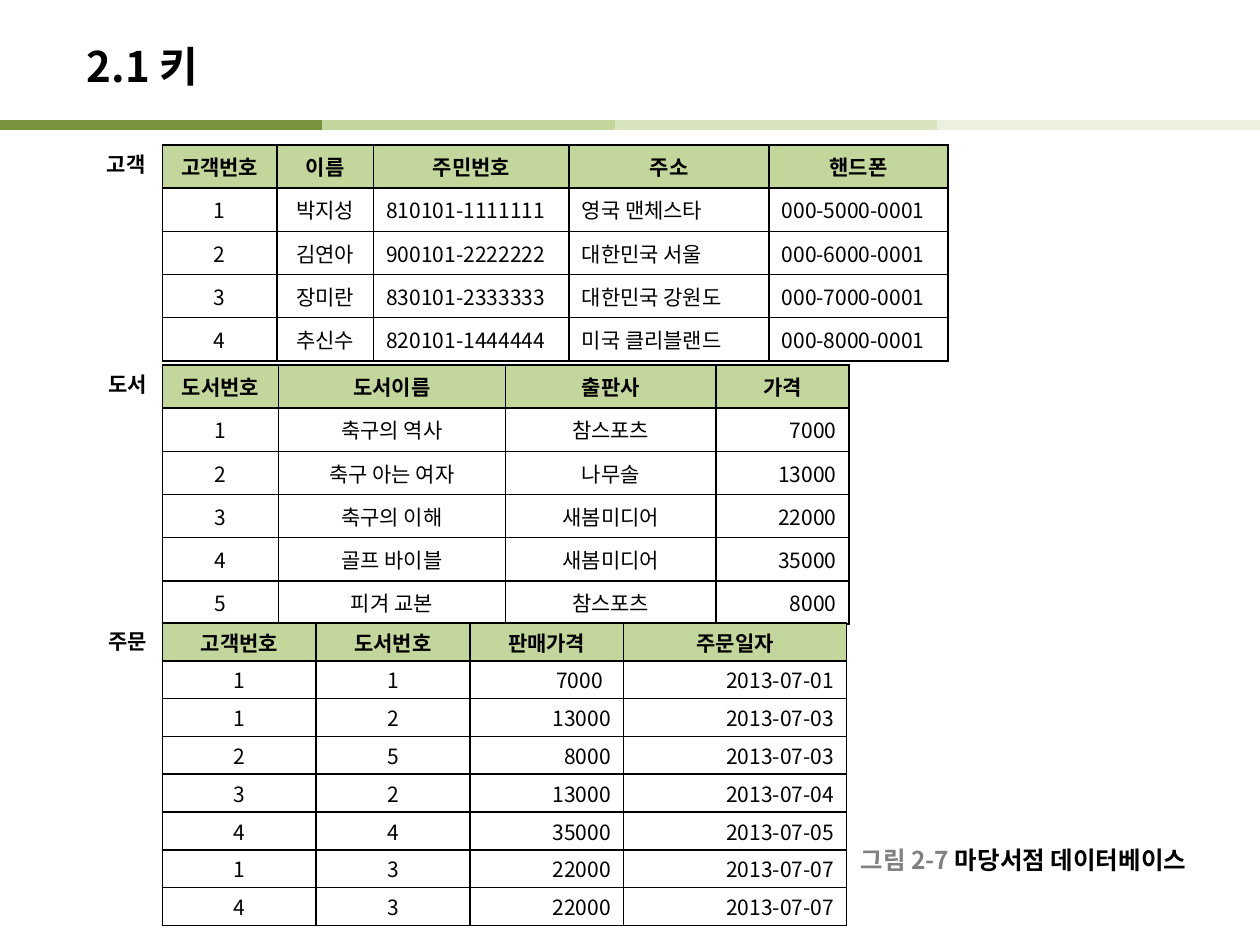
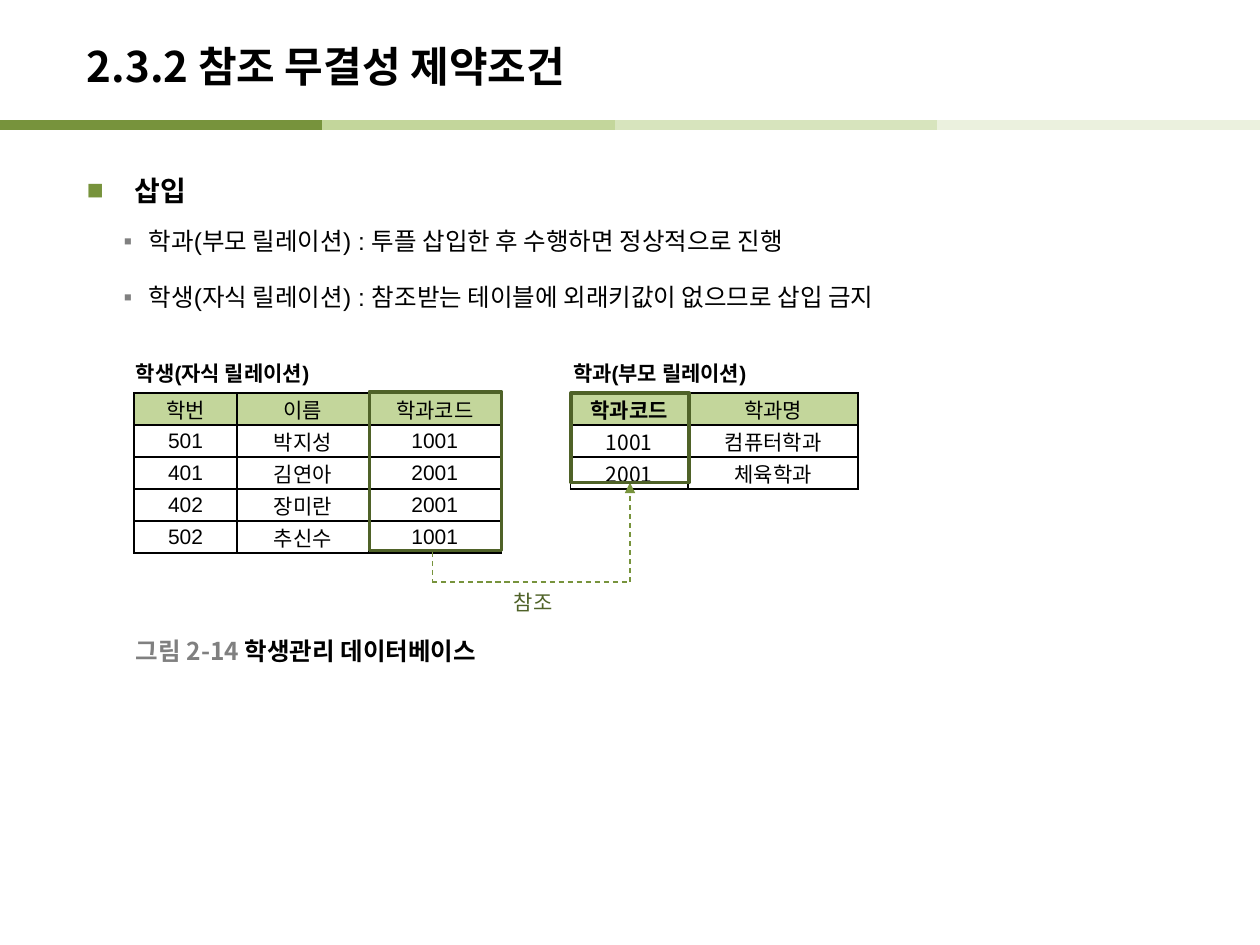
from lxml.etree import SubElement as Sub
from pptx import Presentation
from pptx.dml.color import RGBColor as RGB
from pptx.enum.dml import MSO_LINE
from pptx.enum.shapes import MSO_CONNECTOR, MSO_SHAPE
from pptx.enum.text import MSO_ANCHOR as Anchor, MSO_AUTO_SIZE as Auto, PP_ALIGN as Align
from pptx.oxml.ns import qn
from pptx.util import Pt

BLACK = RGB(0x00, 0x00, 0x00)
GRAY = RGB(0x80, 0x80, 0x80)
GREEN = RGB(0x77, 0x93, 0x3C)
DARK = RGB(0x4F, 0x62, 0x28)
LIGHT = RGB(0xC3, 0xD6, 0x9B)
PALE = RGB(0xD7, 0xE4, 0xBD)
FAINT = RGB(0xEB, 0xF1, 0xDE)
NOTO = "Noto Sans CJK KR"
ARIAL = "Arial"
SIDES = {"l": Align.LEFT, "c": Align.CENTER, "r": Align.RIGHT}


def style(run, size, face=NOTO, bold=False, color=BLACK):
    """Format a run; Korean letters always use the Noto face."""
    font = run.font
    font.size, font.name, font.bold = Pt(size), face, bold
    font.color.rgb = color
    Sub(run.font._element, qn("a:ea"), typeface=NOTO)


def draw(slide, start, end, color, width):
    """Add a straight line without a shadow."""
    line = slide.shapes.add_connector(
        MSO_CONNECTOR.STRAIGHT, *(Pt(v) for v in start + end))
    line.line.color.rgb = color
    line.line.width = Pt(width)
    Sub(line.element.spPr, qn("a:effectLst"))
    return line


prs = Presentation()
prs.slide_width, prs.slide_height = Pt(720), Pt(540)
keys = prs.slides.add_slide(prs.slide_layouts[5])
refs = prs.slides.add_slide(prs.slide_layouts[1])

# Title and colour band
for slide, text in ((keys, "2.1 키"), (refs, "2.3.2 참조 무결성 제약조건")):
    for left, color in ((167, LIGHT), (351.4, PALE), (535.7, FAINT), (0, GREEN)):
        draw(slide, (left, 71.3), (left + 184.3, 71.3), color, 6)
    title = slide.shapes.title
    title.left, title.top, title.width, title.height = Pt(42.5), Pt(15.8), Pt(595.4), Pt(43.2)
    frame = title.text_frame
    frame.text = text
    frame.auto_size = Auto.NONE
    frame.vertical_anchor = Anchor.MIDDLE
    frame.paragraphs[0].alignment = Align.LEFT
    style(frame.paragraphs[0].runs[0], 24, bold=True)

# Bullet list
body = refs.placeholders[1]
body.left, body.top, body.width, body.height = Pt(42.5), Pt(85.7), Pt(635), Pt(430.6)
frame = body.text_frame
frame.auto_size = Auto.NONE
points = (
    (0, "삽입"),
    (1, "학과(부모 릴레이션) : 투플 삽입한 후 수행하면 정상적으로 진행"),
    (1, "학생(자식 릴레이션) : 참조받는 테이블에 외래키값이 없으므로 삽입 금지"),
)
levels = (
    (27.4, -27.4, "■", GREEN, 16, 0, 0),
    (35.3, -14.4, "▪", GRAY, 14, 2.8, 4),
)
for i, (level, text) in enumerate(points):
    left, hang, mark, color, size, before, after = levels[level]
    para = frame.add_paragraph() if i else frame.paragraphs[0]
    para.text = text
    para.level = level
    para.line_spacing = 1.5
    para.space_before, para.space_after = Pt(before), Pt(after)
    props = para._p.get_or_add_pPr()
    props.set("marL", str(Pt(left)))
    props.set("indent", str(Pt(hang)))
    Sub(Sub(props, qn("a:buClr")), qn("a:srgbClr"), val=str(color))
    Sub(props, qn("a:buFont"), typeface=ARIAL)
    Sub(props, qn("a:buChar"), char=mark)
    style(para.runs[0], size, ARIAL, bold=not level)

# Tables: slide, left, top, row height, side and top margins, face,
# bold header columns, column widths, column alignment, rows
tables = (
    (keys, 92.9, 82.8, 24.7, 7.2, 3.6, NOTO, 5, (65.3, 55.4, 111.7, 114.3, 102.2), "cclll", (
        "고객번호|이름|주민번호|주소|핸드폰",
        "1|박지성|810101-1111111|영국 맨체스타|000-5000-0001",
        "2|김연아|900101-2222222|대한민국 서울|000-6000-0001",
        "3|장미란|830101-2333333|대한민국 강원도|000-7000-0001",
        "4|추신수|820101-1444444|미국 클리블랜드|000-8000-0001")),
    (keys, 92.9, 208.5, 24.7, 7.2, 3.6, NOTO, 4, (66.3, 129.6, 120.5, 76), "cccr", (
        "도서번호|도서이름|출판사|가격",
        "1|축구의 역사|참스포츠|7000",
        "2|축구 아는 여자|나무솔|13000",
        "3|축구의 이해|새봄미디어|22000",
        "4|골프 바이블|새봄미디어|35000",
        "5|피겨 교본|참스포츠|8000")),
    (keys, 92.9, 356, 21.6, 7.2, 1.8, NOTO, 4, (87.8, 87.8, 87.8, 127.6), "ccrr", (
        "고객번호|도서번호|판매가격|주문일자",
        "1|1|7000|2013-07-01",
        "1|2|13000|2013-07-03",
        "2|5|8000|2013-07-03",
        "3|2|13000|2013-07-04",
        "4|4|35000|2013-07-05",
        "1|3|22000|2013-07-07",
        "4|3|22000|2013-07-07")),
    (refs, 76.5, 224.6, 18.3, 0.7, 0.4, ARIAL, 0, (59, 75.2, 75.6), "ccc", (
        "학번|이름|학과코드",
        "501|박지성|1001",
        "401|김연아|2001",
        "402|장미란|2001",
        "502|추신수|1001")),
    (refs, 326, 224.6, 18.3, 0.7, 0.4, NOTO, 1, (67.2, 97.2), "cc", (
        "학과코드|학과명",
        "1001|컴퓨터학과",
        "2001|체육학과")),
)
for slide, left, top, high, side, pad, face, heads, widths, aligns, rows in tables:
    grid = slide.shapes.add_table(
        len(rows), len(widths), Pt(left), Pt(top), Pt(sum(widths)), Pt(high * len(rows))).table
    grid.first_row = grid.horz_banding = False
    for col, width in zip(grid.columns, widths):
        col.width = Pt(width)
    for r, row in enumerate(rows):
        grid.rows[r].height = Pt(high)
        for c, text in enumerate(row.split("|")):
            cell = grid.cell(r, c)
            cell.margin_left = cell.margin_right = Pt(side)
            cell.margin_top = cell.margin_bottom = Pt(pad)
            cell.vertical_anchor = Anchor.MIDDLE
            props = cell._tc.get_or_add_tcPr()
            for edge in ("lnL", "lnR", "lnT", "lnB"):
                rule = Sub(props, qn("a:" + edge), w=str(Pt(1)))
                Sub(Sub(rule, qn("a:solidFill")), qn("a:srgbClr"), val=str(BLACK))
            if r == 0:
                cell.fill.solid()
                cell.fill.fore_color.rgb = LIGHT
            else:
                cell.fill.background()
            cell.text = text
            para = cell.text_frame.paragraphs[0]
            para.alignment = SIDES[aligns[c]] if r else Align.CENTER
            style(para.runs[0], 12, face, bold=r == 0 and c < heads)
            if text == "7000" and c == 2:
                cell.margin_right = Pt(11.8)

# Labels and captions: slide, left, top, width, size, face, runs (text, bold, colour)
labels = (
    (keys, 54, 82.8, 39, 12, ARIAL, [("고객", True, BLACK)]),
    (keys, 54.7, 208.8, 39, 12, ARIAL, [("도서", True, BLACK)]),
    (keys, 54.7, 355.7, 39, 12, ARIAL, [("주문", True, BLACK)]),
    (keys, 484.6, 480.2, 215, 14, NOTO,
     [("그림 2-7 ", True, GRAY), ("마당서점 데이터베이스", True, BLACK)]),
    (refs, 70.6, 202.3, 124.6, 12, ARIAL, [("학생(자식 릴레이션)", True, BLACK)]),
    (refs, 320.4, 202.3, 124.6, 12, ARIAL, [("학과(부모 릴레이션)", True, BLACK)]),
    (refs, 286.6, 333.4, 99.4, 12, NOTO, [("참조", False, DARK)]),
    (refs, 70.6, 360.7, 225, 14, NOTO,
     [("그림 2-14 ", True, GRAY), ("학생관리 데이터베이스", True, BLACK)]),
)
for slide, left, top, width, size, face, parts in labels:
    box = slide.shapes.add_textbox(Pt(left), Pt(top), Pt(width), Pt(22))
    frame = box.text_frame
    frame.word_wrap = False
    frame.vertical_anchor = Anchor.MIDDLE if size == 14 else Anchor.TOP
    for text, bold, color in parts:
        run = frame.paragraphs[0].add_run()
        run.text = text
        style(run, size, face, bold, color)

# Reference from the child key to the parent key
stops = ((247, 315.4), (247, 332.6), (360, 332.6), (360, 275.8))
for start, end in zip(stops, stops[1:]):
    link = draw(refs, start, end, GREEN, 0.75)
    link.line.dash_style = MSO_LINE.DASH
Sub(link.line._get_or_add_ln(), qn("a:tailEnd"), type="triangle")

# Frames around the key columns
for left, top, width, height in ((211, 223.9, 75.6, 90.7), (326.2, 224.6, 67.7, 51.1)):
    key = refs.shapes.add_shape(MSO_SHAPE.RECTANGLE, Pt(left), Pt(top), Pt(width), Pt(height))
    key.shadow.inherit = False
    key.fill.background()
    key.line.color.rgb = DARK
    key.line.width = Pt(2)

prs.save("out.pptx")
